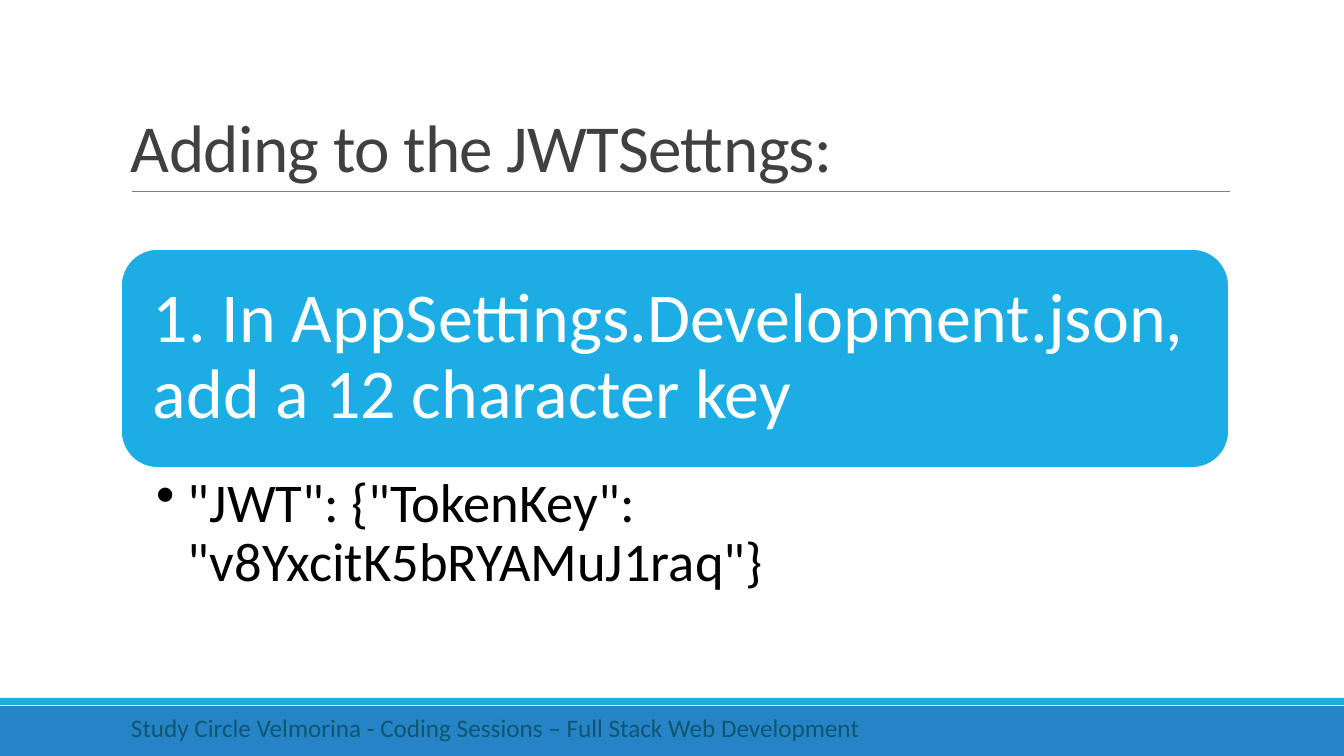
from pptx import Presentation
from pptx.dml.color import RGBColor
from pptx.enum.shapes import MSO_CONNECTOR, MSO_SHAPE
from pptx.enum.text import MSO_ANCHOR, MSO_AUTO_SIZE, PP_ALIGN
from pptx.util import Emu, Pt
from lxml import etree

RECT, ROUNDED = MSO_SHAPE.RECTANGLE, MSO_SHAPE.ROUNDED_RECTANGLE
STRAIGHT = MSO_CONNECTOR.STRAIGHT
TOP, MIDDLE, BOTTOM = MSO_ANCHOR.TOP, MSO_ANCHOR.MIDDLE, MSO_ANCHOR.BOTTOM
LEFT, NO_FIT = PP_ALIGN.LEFT, MSO_AUTO_SIZE.NONE
A = "{http://schemas.openxmlformats.org/drawingml/2006/main}"

THEME = {
    "font": "Calibri",
    "title": (48, "404040"), "step": (50, "FFFFFF"),
    "setting": (39, "000000"), "footer": (18, "0E5772"),
    "accent": "1CADE4", "band": "2683C6", "rule": "808080",
}


def px(*lengths):
    scaled = [Emu(round(length * 914400 / 100.8)) for length in lengths]
    return scaled if len(scaled) > 1 else scaled[0]


def write(holder, text, role, box, insets, anchor, spacing):
    holder.left, holder.top, holder.width, holder.height = px(*box)
    frame = holder.text_frame
    frame.text = text
    frame.word_wrap = True
    frame.auto_size = NO_FIT
    frame.vertical_anchor = anchor
    (frame.margin_left, frame.margin_top,
     frame.margin_right, frame.margin_bottom) = px(*insets)
    paragraph = frame.paragraphs[0]
    paragraph.alignment = LEFT
    paragraph.line_spacing = spacing
    size, color = THEME[role]
    font = paragraph.runs[0].font
    font.name, font.size = THEME["font"], Pt(size)
    font.color.rgb = RGBColor.from_string(color)
    return paragraph


deck = Presentation()
deck.slide_width, deck.slide_height = px(1344, 756)
slide = deck.slides.add_slide(deck.slide_layouts[5])
shapes = slide.shapes

for preset, box, color in (
    (RECT, (0, 706, 1344, 50), "band"),
    (RECT, (0, 698, 1344, 7), "accent"),
    (ROUNDED, (121, 249, 1108, 219), "accent"),
):
    panel = shapes.add_shape(preset, *px(*box))
    panel.shadow.inherit = False
    panel.fill.solid()
    panel.fill.fore_color.rgb = RGBColor.from_string(THEME[color])
    panel.line.fill.background()
step_panel = panel
step_panel.line.color.rgb = RGBColor.from_string("FFFFFF")
step_panel.line.width = Pt(1.25)

title_rule = shapes.add_connector(STRAIGHT, *px(132, 191, 1230, 191))
title_rule.line.color.rgb = RGBColor.from_string(THEME["rule"])
title_rule.line.width = Pt(0.5)
etree.SubElement(title_rule._element.spPr, A + "effectLst")

title = write(shapes.title, "Adding to the JWTSettngs:", "title",
              (121, 31, 1109, 160), (10, 5, 10, 5), BOTTOM, 0.85)
title.runs[0].font._element.set("spc", "-50")

write(shapes.add_textbox(0, 0, 0, 0),
      "1. In AppSettings.Development.json, add a 12 character key", "step",
      (132, 259, 1088, 198), (21, 21, 21, 21), MIDDLE, 0.9)

setting = write(shapes.add_textbox(0, 0, 0, 0),
                '"JWT": {"TokenKey": "v8YxcitK5bRYAMuJ1raq"}', "setting",
                (121, 468, 1109, 134), (35, 7, 39, 7), TOP, 0.9)
bullet_format = setting._p.get_or_add_pPr()
bullet_format.set("marL", str(px(32)))
bullet_format.set("indent", str(px(-32)))
etree.SubElement(bullet_format, A + "buChar", char="•")

write(shapes.add_textbox(0, 0, 0, 0),
      "Study Circle Velmorina - Coding Sessions – Full Stack Web Development",
      "footer", (121, 707, 768, 40), (10, 5, 10, 5), TOP, 1.0)

deck.save("out.pptx")
